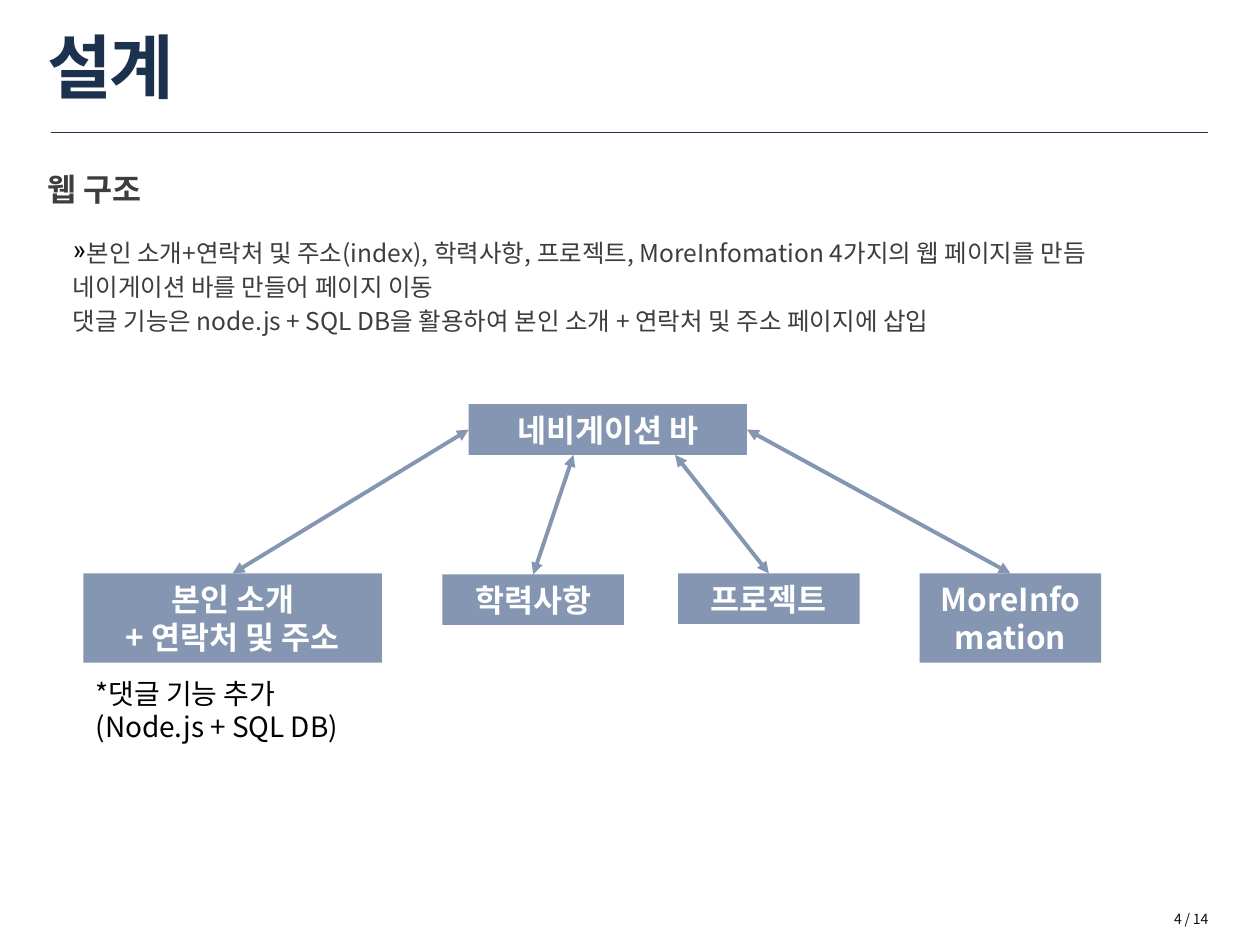
from lxml.etree import SubElement as Sub
from pptx import Presentation
from pptx.dml.color import RGBColor as Rgb
from pptx.enum.shapes import MSO_CONNECTOR as Link, MSO_SHAPE as Shape
from pptx.enum.text import MSO_ANCHOR as Anchor, MSO_AUTO_SIZE as Fit, PP_ALIGN as Align
from pptx.oxml.ns import qn
from pptx.util import Cm, Pt


class Theme:
    font = "Noto Sans CJK KR"
    navy = Rgb.from_string("1C314E")
    gray = Rgb.from_string("3D3C3E")
    blue = Rgb.from_string("8496B1")
    white = Rgb.from_string("FFFFFF")
    black = Rgb.from_string("000000")
    ink = Rgb.from_string("0D0D0D")
    title, head, note, body, page = 40, 18, 16, 14, 8


def write(shape, text, size, color, bold=False, align=Align.LEFT, track=0, gap=0):
    """Fill the shape with text, one paragraph a line, and format its runs."""
    frame = shape.text_frame
    frame.word_wrap = True
    frame.text = text
    for para in frame.paragraphs:
        para.alignment = align
        para.space_before = Pt(gap)
        for run in para.runs:
            font = run.font
            font.name, font.size, font.bold = Theme.font, Pt(size), bold
            font.color.rgb = color
            props = run._r.get_or_add_rPr()
            Sub(props, qn("a:ea")).set("typeface", Theme.font)
            if track:
                props.set("spc", str(track))
    return frame


def draw(x1, y1, x2, y2, color, width):
    """Add a straight line without a shadow, ends in centimetres."""
    line = slide.shapes.add_connector(Link.STRAIGHT, Cm(x1), Cm(y1), Cm(x2), Cm(y2))
    line.line.color.rgb = color
    line.line.width = Pt(width)
    Sub(line._element.spPr, qn("a:effectLst"))
    return line


deck = Presentation()
deck.slide_width, deck.slide_height = Cm(25.4), Cm(19.05)
slide = deck.slides.add_slide(deck.slide_layouts[6])
add_text = slide.shapes.add_textbox

# Title, rule and page number
draw(1.02, 2.67, 24.36, 2.67, Theme.navy, 0.25)
title = add_text(Cm(0.71), Cm(0.51), Cm(23.7), Cm(1.63))
frame = write(title, "설계", Theme.title, Theme.navy, bold=True, track=-120)
frame.vertical_anchor = Anchor.MIDDLE
page = add_text(Cm(20.22), Cm(18.24), Cm(4.39), Cm(0.61))
write(page, "4 / 14", Theme.page, Theme.ink, align=Align.RIGHT, track=-10)

# Heading and description
head = add_text(Cm(0.71), Cm(3.3), Cm(23.55), Cm(3.56))
write(head, "웹 구조", Theme.head, Theme.gray, bold=True, gap=3.6)
lines = [
    "본인 소개+연락처 및 주소(index), 학력사항, 프로젝트, MoreInfomation 4가지의 웹 페이지를 만듬",
    "네이게이션 바를 만들어 페이지 이동",
    "댓글 기능은 node.js + SQL DB을 활용하여 본인 소개 + 연락처 및 주소 페이지에 삽입",
]
body = add_text(Cm(0.71), Cm(4.67), Cm(23.55), Cm(3))
frame = write(body, "\n".join(lines), Theme.body, Theme.gray, gap=2.8)
for para in frame.paragraphs:
    props = para._p.get_or_add_pPr()
    props.set("marL", str(Cm(0.51)))
    props.set("indent", "0")
props = frame.paragraphs[0]._p.get_or_add_pPr()
Sub(Sub(props, qn("a:buClr")), qn("a:srgbClr")).set("val", str(Theme.black))
Sub(props, qn("a:buChar")).set("char", "»")

# Navigation bar, then the four pages below it
boxes = []
for text, x, y, w, h in [
    ("네비게이션 바", 9.45, 8.15, 5.61, 1.02),
    ("본인 소개\n+ 연락처 및 주소", 1.68, 11.56, 6.02, 1.8),
    ("학력사항", 8.92, 11.58, 3.66, 1.02),
    ("프로젝트", 13.67, 11.56, 3.66, 1.02),
    ("MoreInfomation", 18.54, 11.56, 3.66, 1.8),
]:
    box = slide.shapes.add_shape(Shape.RECTANGLE, Cm(x), Cm(y), Cm(w), Cm(h))
    box.shadow.inherit = False
    box.fill.solid()
    box.fill.fore_color.rgb = Theme.blue
    box.line.fill.background()
    frame = write(box, text, Theme.head, Theme.white, bold=True, align=Align.CENTER)
    frame.auto_size = Fit.SHAPE_TO_FIT_TEXT
    boxes.append(box)

# Double arrows: the outer two leave the bar's sides, the inner two its bottom edge
nav, *pages = boxes
for target, x, y, side in zip(
    pages, (9.45, 11.56, 13.61, 15.06), (8.66, 9.17, 9.17, 8.66), (1, None, None, 3)
):
    arrow = draw(x, y, x, 11.56, Theme.blue, 2.25)
    if side is not None:
        arrow.begin_connect(nav, side)
    arrow.end_connect(target, 0)
    stroke = arrow.line._get_or_add_ln()
    for end in ("a:headEnd", "a:tailEnd"):
        Sub(stroke, qn(end)).set("type", "triangle")

# Note under the first page
note = add_text(Cm(1.68), Cm(13.51), Cm(5.82), Cm(2.39))
write(note, "*댓글 기능 추가\n(Node.js + SQL DB)", Theme.note, Theme.black)

deck.save("out.pptx")
